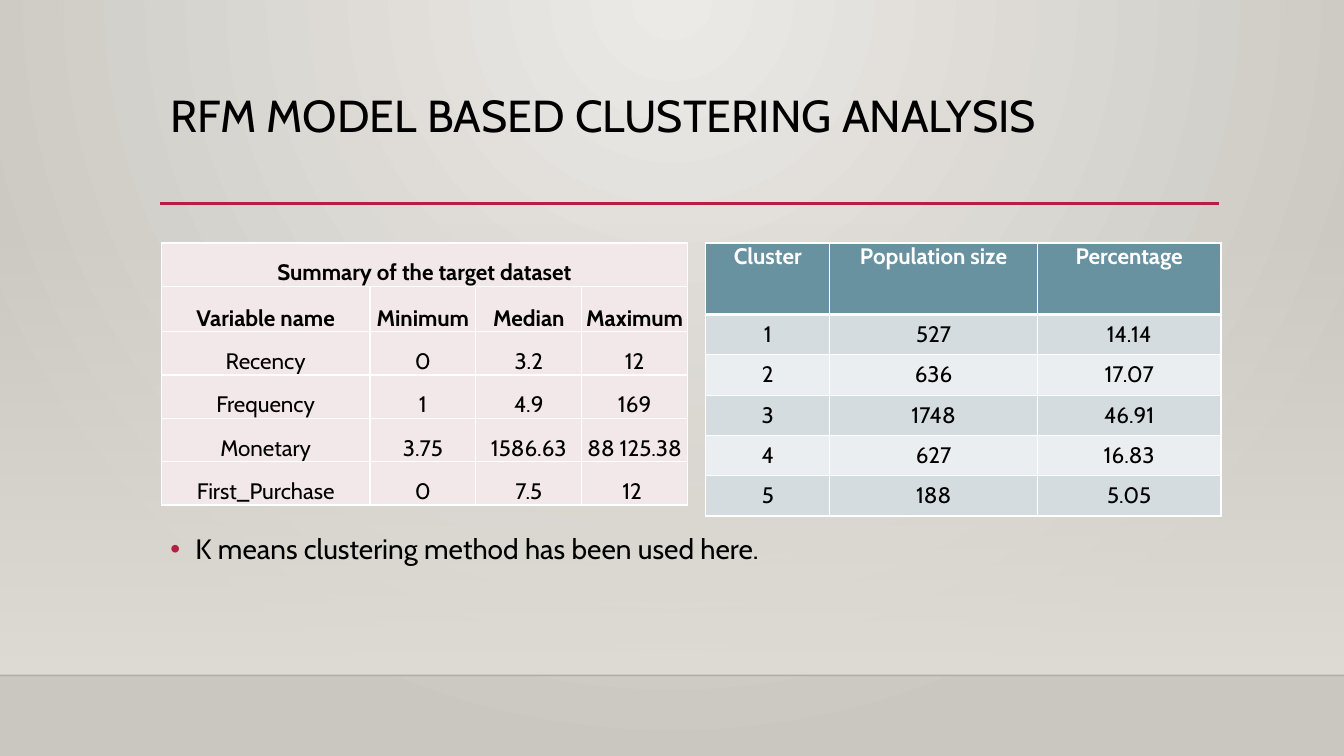
from lxml import etree
from pptx import Presentation
from pptx.dml.color import RGBColor
from pptx.enum.shapes import MSO_CONNECTOR as CONN, MSO_SHAPE as SHAPE
from pptx.enum.text import MSO_ANCHOR as ANCHOR, PP_ALIGN as ALIGN
from pptx.oxml import parse_xml
from pptx.oxml.ns import nsdecls, qn
from pptx.util import Inches, Pt

COLORS = {
    "bg_light": "ECEAE7", "bg_dark": "CAC7C1", "wall": "DFDBD5", "floor": "000001",
    "accent": "B71E42", "text": "000000", "white": "FFFFFF", "pink": "F3E8E9",
    "teal": "6892A0", "band_dark": "D4DCDF", "band_light": "EBEEF0",
}
FONT = "Cabin"

SUMMARY = [
    ["Summary of the target dataset", "", "", ""],
    ["Variable name", "Minimum", "Median", "Maximum"],
    ["Recency", "0", "3.2", "12"],
    ["Frequency", "1", "4.9", "169"],
    ["Monetary", "3.75", "1586.63", "88 125.38"],
    ["First_Purchase", "0", "7.5", "12 "],
]
CLUSTERS = [
    ["Cluster", "Population size", "Percentage"],
    ["1", "527", "14.14"],
    ["2", "636", "17.07"],
    ["3", "1748", "46.91"],
    ["4", "627", "16.83"],
    ["5", "188", "5.05"],
]


def rgb(name):
    return RGBColor.from_string(COLORS[name])


def inches(box):
    return [Inches(v) for v in box]


def set_gradient(parent, stops, shade):
    """Replace the fill in parent by a gradient of (position, colour, opacity) stops."""
    gs = "".join(
        f'<a:gs pos="{pos * 1000}"><a:srgbClr val="{COLORS[name]}">'
        f'<a:alpha val="{opacity * 1000}"/></a:srgbClr></a:gs>'
        for pos, name, opacity in stops)
    xml = f'<a:gradFill {nsdecls("a")} rotWithShape="1"><a:gsLst>{gs}</a:gsLst>{shade}</a:gradFill>'
    parent.replace(parent.find(qn("a:solidFill")), parse_xml(xml))


def write(p, text, size, color="text", bold=False):
    r = p.add_run()
    r.text = text
    style = {"name": FONT, "size": Pt(size), "bold": bold}
    for key, value in style.items():
        setattr(r.font, key, value)
    r.font.color.rgb = rgb(color)


def add_line(s, x1, x2, y, color, width, opacity=100):
    sp = s.shapes.add_connector(CONN.STRAIGHT, *inches((x1, y, x2, y)))
    sp.line.color.rgb = rgb(color)
    sp.line.width = Pt(width)
    etree.SubElement(sp._element.spPr, qn("a:effectLst"))
    clr = sp.line._ln.find(".//" + qn("a:srgbClr"))
    etree.SubElement(clr, qn("a:alpha")).set("val", str(opacity * 1000))


def add_backdrop(s, box):
    x, y, w, h = box
    # Radial background
    s.background.fill.solid()
    set_gradient(s._element.find(".//" + qn("p:bgPr")),
                 [(0, "bg_light", 100), (100, "bg_dark", 100)],
                 '<a:path path="circle"><a:fillToRect l="43000" t="0" r="43000" b="100000"/></a:path>')
    # Wall fading in towards the floor line
    sp = s.shapes.add_shape(SHAPE.RECTANGLE, *inches(box))
    sp.shadow.inherit = False
    sp.line.fill.background()
    sp.fill.solid()
    set_gradient(sp._element.spPr, [(0, "wall", 0), (100, "wall", 100)],
                 '<a:lin ang="5400000" scaled="0"/>')
    add_line(s, x, x + w, y + h, "floor", 1, 20)


def add_title(s, box, text):
    x, y, w, h = box
    sp = s.shapes.title
    sp.left, sp.top, sp.width, sp.height = inches(box)
    tf = sp.text_frame
    tf.word_wrap = True
    tf.vertical_anchor = ANCHOR.TOP
    p = tf.paragraphs[0]
    p.alignment = ALIGN.LEFT
    p.line_spacing = 0.9
    write(p, text, 32)
    add_line(s, x, x + w, y + h, "accent", 2.5)


def add_bullet(s, box, text):
    tf = s.shapes.add_textbox(*inches(box)).text_frame
    tf.word_wrap = True
    p = tf.paragraphs[0]
    p.line_spacing = 1.2
    p.space_before = Pt(10)
    pPr = p._p.get_or_add_pPr()
    pPr.set("marL", str(Inches(0.25)))
    pPr.set("indent", str(-Inches(0.25)))
    clr = etree.SubElement(etree.SubElement(pPr, qn("a:buClr")), qn("a:srgbClr"))
    clr.set("val", COLORS["accent"])
    etree.SubElement(pPr, qn("a:buFont")).set("typeface", "Arial")
    etree.SubElement(pPr, qn("a:buChar")).set("char", "•")
    write(p, text, 20)


def set_borders(cell, top=1, bottom=1):
    tcPr = cell._tc.get_or_add_tcPr()
    for i, (side, width) in enumerate(zip("LRTB", (1, 1, top, bottom))):
        tcPr.insert(i, parse_xml(
            f'<a:ln{side} {nsdecls("a")} w="{Pt(width)}"><a:solidFill>'
            f'<a:srgbClr val="{COLORS["white"]}"/></a:solidFill></a:ln{side}>'))


def add_grid(s, x, y, cols, rows, data, style):
    """Draw a table; style(row) gives fill, colour, bold, anchor, top and bottom border."""
    frame = s.shapes.add_table(len(rows), len(cols),
                               *inches((x, y, sum(cols), sum(rows))))
    table = frame.table
    table.first_row = table.horz_banding = False
    for col, width in zip(table.columns, cols):
        col.width = Inches(width)
    for i, (row, height) in enumerate(zip(table.rows, rows)):
        row.height = Inches(height)
        fill, color, bold, anchor, top, bottom = style(i)
        for cell, text in zip(row.cells, data[i]):
            for side in ("left", "right", "top", "bottom"):
                setattr(cell, f"margin_{side}", 0)
            cell.vertical_anchor = anchor
            cell.fill.solid()
            cell.fill.fore_color.rgb = rgb(fill)
            set_borders(cell, top, bottom)
            if text:
                p = cell.text_frame.paragraphs[0]
                p.alignment = ALIGN.CENTER
                write(p, text, 16, color, bold)
    return table


def summary_style(i):
    return "pink", "text", i < 2, ANCHOR.BOTTOM, 1, 1


def cluster_style(i):
    if i == 0:
        return "teal", "white", True, ANCHOR.TOP, 1, 3
    band = "band_dark" if i % 2 else "band_light"
    return band, "text", False, ANCHOR.MIDDLE, 3 if i == 1 else 1, 1


def add_tables(s, x, y):
    # Population of each cluster, on the right
    add_grid(s, x + 5.4, y, [1.23, 2.06, 1.82], [0.71] + [0.4] * 5,
             CLUSTERS, cluster_style)
    # Summary of the variables, on the left
    table = add_grid(s, x, y, [2.07] + [1.05] * 3, [0.43, 0.45] + [0.43] * 4,
                     SUMMARY, summary_style)
    table.cell(0, 0).merge(table.cell(0, 3))


def main():
    prs = Presentation()
    prs.slide_width, prs.slide_height = inches((13.33, 7.5))
    s = prs.slides.add_slide(prs.slide_layouts[5])
    add_backdrop(s, (0, 2.21, 13.33, 4.49))
    add_title(s, (1.59, 0.88, 10.5, 1.14), "RFM MODEL BASED CLUSTERING ANALYSIS")
    add_bullet(s, (1.59, 5.16, 10.59, 0.91), "K means clustering method has been used here.")
    add_tables(s, 1.6, 2.41)
    prs.save("out.pptx")


if __name__ == "__main__":
    main()
